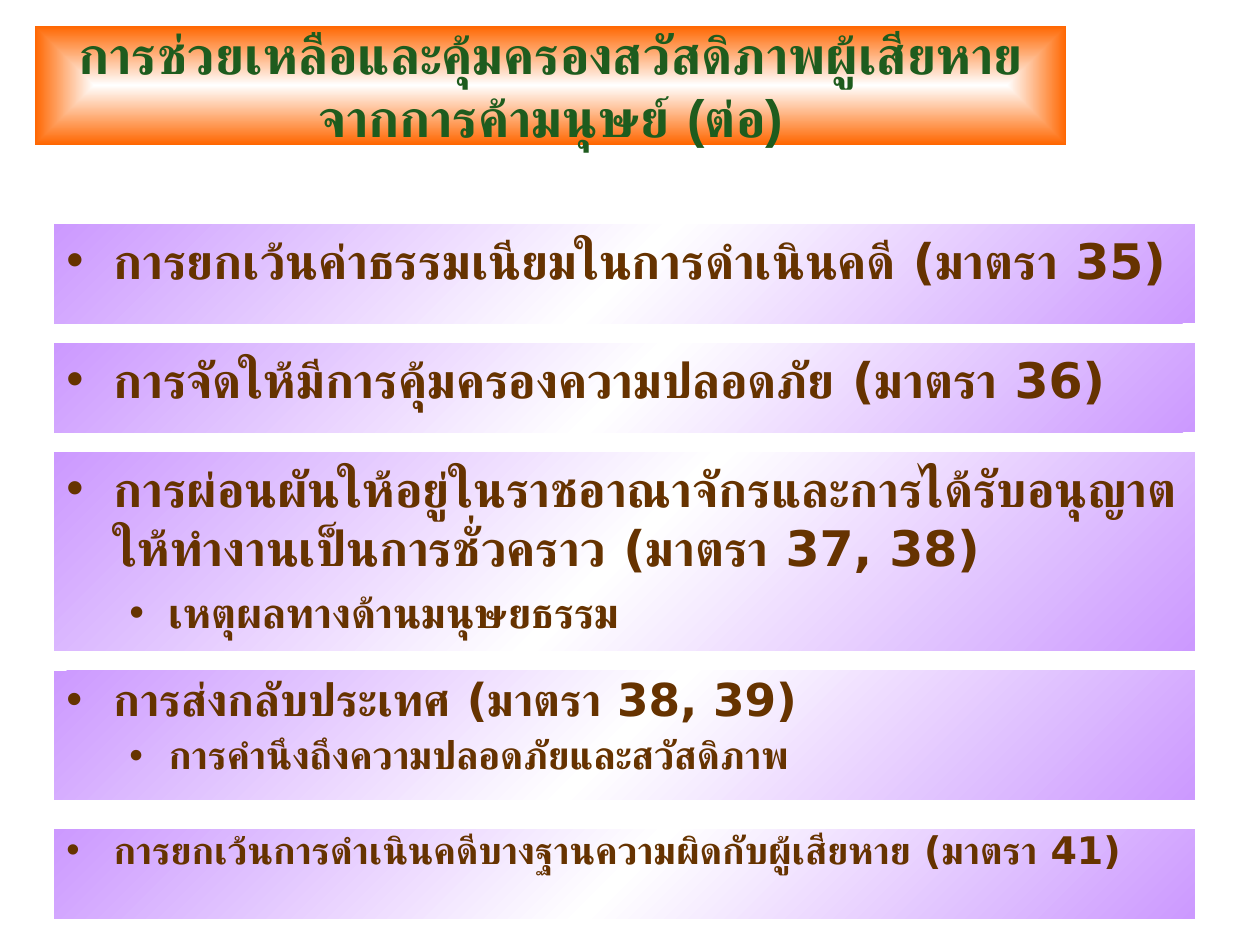
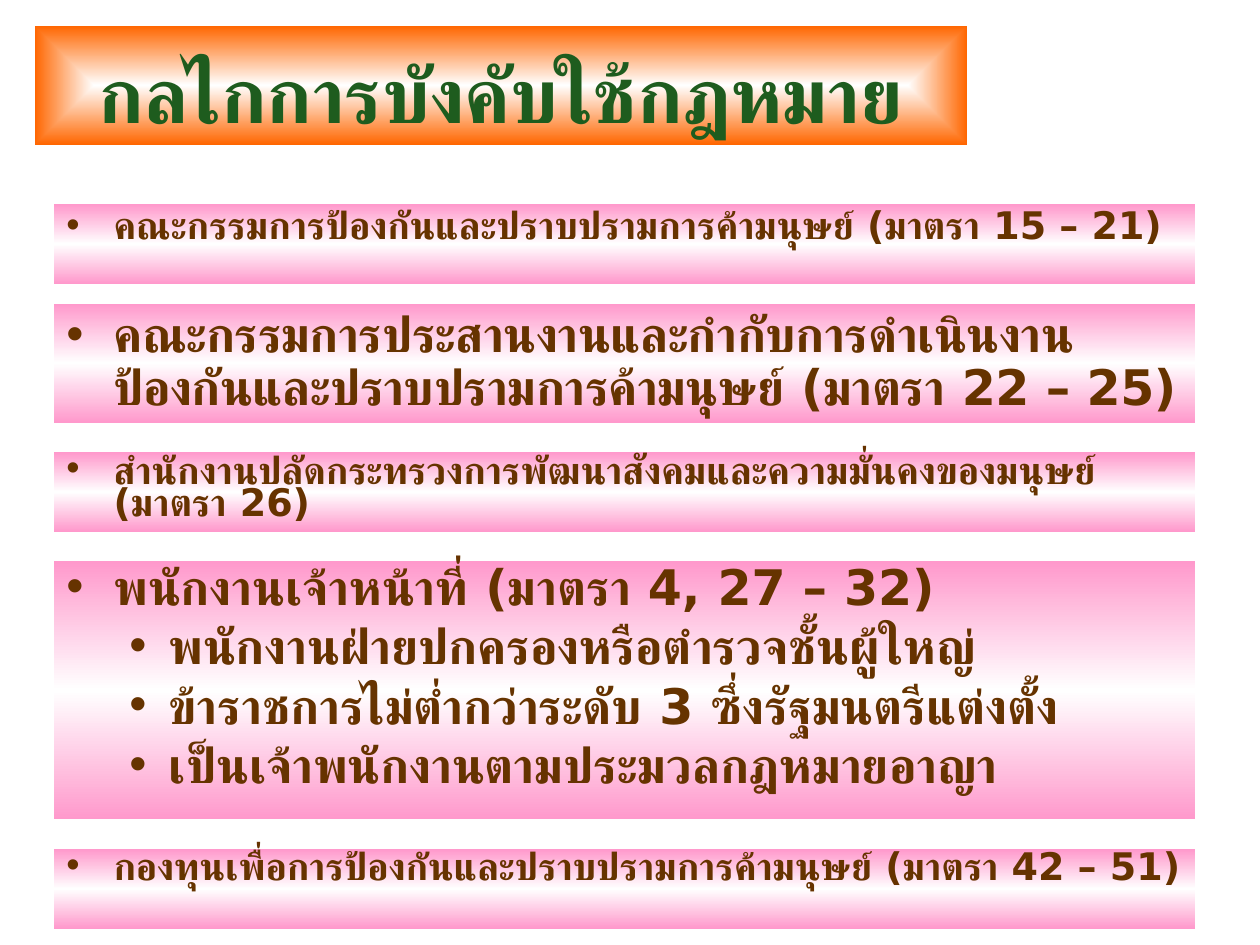
from dataclasses import dataclass

from lxml import etree
from pptx import Presentation, util as u
from pptx.dml.color import RGBColor
from pptx.enum import lang, shapes, text
from pptx.oxml import parse_xml
from pptx.oxml.ns import nsdecls, qn


@dataclass(frozen=True)
class Theme:
    white: str = "FFFFFF"
    orange: str = "FF6600"
    green: str = "1E5C1E"
    brown: str = "663300"
    violet: str = "CC99FF"
    pink: str = "FF99CC"
    head: str = "Arial"
    body: str = "DejaVu Sans"
    huge: float = 44
    title: float = 30
    large: float = 28
    mid: float = 25.9
    sub: float = 24
    less: float = 22.2
    small: float = 21.7


T = Theme()
INDENT = ((0.95, -0.95), (2.06, -0.79))
TIGHT = -20


def blend(shape, stops, shade):
    marks = "".join(
        f'<a:gs pos="{pos * 1000}"><a:srgbClr val="{tone}"/></a:gs>'
        for pos, tone in stops
    )
    fill = parse_xml(
        f'<a:gradFill {nsdecls("a")} rotWithShape="1">'
        f"<a:gsLst>{marks}</a:gsLst>{shade}</a:gradFill>"
    )
    shape.fill.solid()
    props = shape._element.spPr
    props.replace(props.find(qn("a:solidFill")), fill)


def panel(slide, left, top, width, height, anchor):
    shape = slide.shapes.add_shape(
        shapes.MSO_SHAPE.RECTANGLE, u.Cm(left), u.Cm(top), u.Cm(width), u.Cm(height)
    )
    shape.shadow.inherit = False
    shape.line.fill.background()
    frame = shape.text_frame
    frame.word_wrap = True
    frame.vertical_anchor = anchor
    return shape


def write(para, words, size, tone, face, track=0):
    run = para.add_run()
    run.text = words
    font = run.font
    font.size = u.Pt(size)
    font.bold = True
    font.name = face
    font.color.rgb = RGBColor.from_string(tone)
    font.language_id = lang.MSO_LANGUAGE_ID.THAI
    props = run._r.get_or_add_rPr()
    etree.SubElement(props, qn("a:cs"), typeface=T.body)
    if track:
        props.set("spc", str(track))


def bullet(para, level):
    left, hang = INDENT[level]
    para.level = level
    para.alignment = text.PP_ALIGN.LEFT
    props = para._p.get_or_add_pPr()
    props.set("marL", str(u.Cm(left)))
    props.set("indent", str(u.Cm(hang)))
    tint = etree.SubElement(props, qn("a:buClr"))
    etree.SubElement(tint, qn("a:srgbClr"), val=T.brown)
    etree.SubElement(props, qn("a:buFont"), typeface=T.head)
    etree.SubElement(props, qn("a:buChar"), char="•")


def title(slide, words, width, size, anchor):
    shape = panel(slide, 0.7, 0.52, width, 2.4, anchor)
    shade = (
        '<a:path path="rect">'
        '<a:fillToRect l="50000" t="50000" r="50000" b="50000"/></a:path>'
    )
    blend(shape, ((0, T.white), (100, T.orange)), shade)
    para = shape.text_frame.paragraphs[0]
    para.alignment = text.PP_ALIGN.CENTER
    write(para, words, size, T.green, T.head)


def band(slide, tone, angle, top, height, space, items, track=0):
    shape = panel(slide, 1.09, top, 23, height, text.MSO_ANCHOR.TOP)
    shade = f'<a:lin ang="{angle * 60000}" scaled="0"/>'
    blend(shape, ((0, tone), (50, T.white), (100, tone)), shade)
    frame = shape.text_frame
    frame.margin_right = u.Cm(0.1)
    for i, (level, size, words) in enumerate(items):
        para = frame.add_paragraph() if i else frame.paragraphs[0]
        bullet(para, level)
        para.line_spacing = space
        para.space_before = u.Pt(6 if level and size < T.large else 7)
        write(para, words, size, T.brown, T.body, track)


AID = (
    (4.52, 2, 1.0, [(0, T.large, "การยกเว้นค่าธรรมเนียมในการดำเนินคดี (มาตรา 35)")]),
    (6.92, 1.8, 1.0, [(0, T.large, "การจัดให้มีการคุ้มครองความปลอดภัย (มาตรา 36)")]),
    (9.12, 4, 1.0, [
        (0, T.large, "การผ่อนผันให้อยู่ในราชอาณาจักรและการได้รับอนุญาต"
                     "ให้ทำงานเป็นการชั่วคราว (มาตรา 37, 38)"),
        (1, T.sub, "เหตุผลทางด้านมนุษยธรรม"),
    ]),
    (13.52, 2.6, 0.9, [
        (0, T.mid, "การส่งกลับประเทศ (มาตรา 38, 39)"),
        (1, T.less, "การคำนึงถึงความปลอดภัยและสวัสดิภาพ"),
    ]),
    (16.72, 1.8, 0.8, [
        (0, T.small, "การยกเว้นการดำเนินคดีบางฐานความผิดกับผู้เสียหาย (มาตรา 41)"),
    ]),
)

LAW = (
    (4.12, 1.6, 0.8, [
        (0, T.small, "คณะกรรมการป้องกันและปราบปรามการค้ามนุษย์ (มาตรา 15 – 21)"),
    ]),
    (6.12, 2.4, 0.9, [
        (0, T.large, "คณะกรรมการประสานงานและกำกับการดำเนินงาน"
                     "ป้องกันและปราบปรามการค้ามนุษย์ (มาตรา 22 – 25)"),
    ], TIGHT),
    (9.12, 1.6, 0.7, [
        (0, T.small, "สำนักงานปลัดกระทรวงการพัฒนาสังคมและความมั่นคงของมนุษย์ (มาตรา 26)"),
    ]),
    (11.32, 5.2, 0.8, [
        (0, T.large, "พนักงานเจ้าหน้าที่ (มาตรา 4, 27 – 32)"),
        (1, T.large, "พนักงานฝ่ายปกครองหรือตำรวจชั้นผู้ใหญ่"),
        (1, T.large, "ข้าราชการไม่ต่ำกว่าระดับ 3 ซึ่งรัฐมนตรีแต่งตั้ง"),
        (1, T.large, "เป็นเจ้าพนักงานตามประมวลกฎหมายอาญา"),
    ]),
    (17.12, 1.6, 0.7, [
        (0, T.small, "กองทุนเพื่อการป้องกันและปราบปรามการค้ามนุษย์ (มาตรา 42 – 51)"),
    ]),
)


def main():
    deck = Presentation()
    deck.slide_width, deck.slide_height = u.Cm(25.4), u.Cm(19.05)
    blank = deck.slide_layouts[6]

    aid = deck.slides.add_slide(blank)
    title(aid, "การช่วยเหลือและคุ้มครองสวัสดิภาพผู้เสียหายจากการค้ามนุษย์ (ต่อ)",
          20.8, T.title, text.MSO_ANCHOR.MIDDLE)
    for row in AID:
        band(aid, T.violet, 225, *row)

    law = deck.slides.add_slide(blank)
    title(law, "กลไกการบังคับใช้กฎหมาย", 18.8, T.huge, text.MSO_ANCHOR.BOTTOM)
    for row in LAW:
        band(law, T.pink, 90, *row)

    deck.save("out.pptx")


main()
